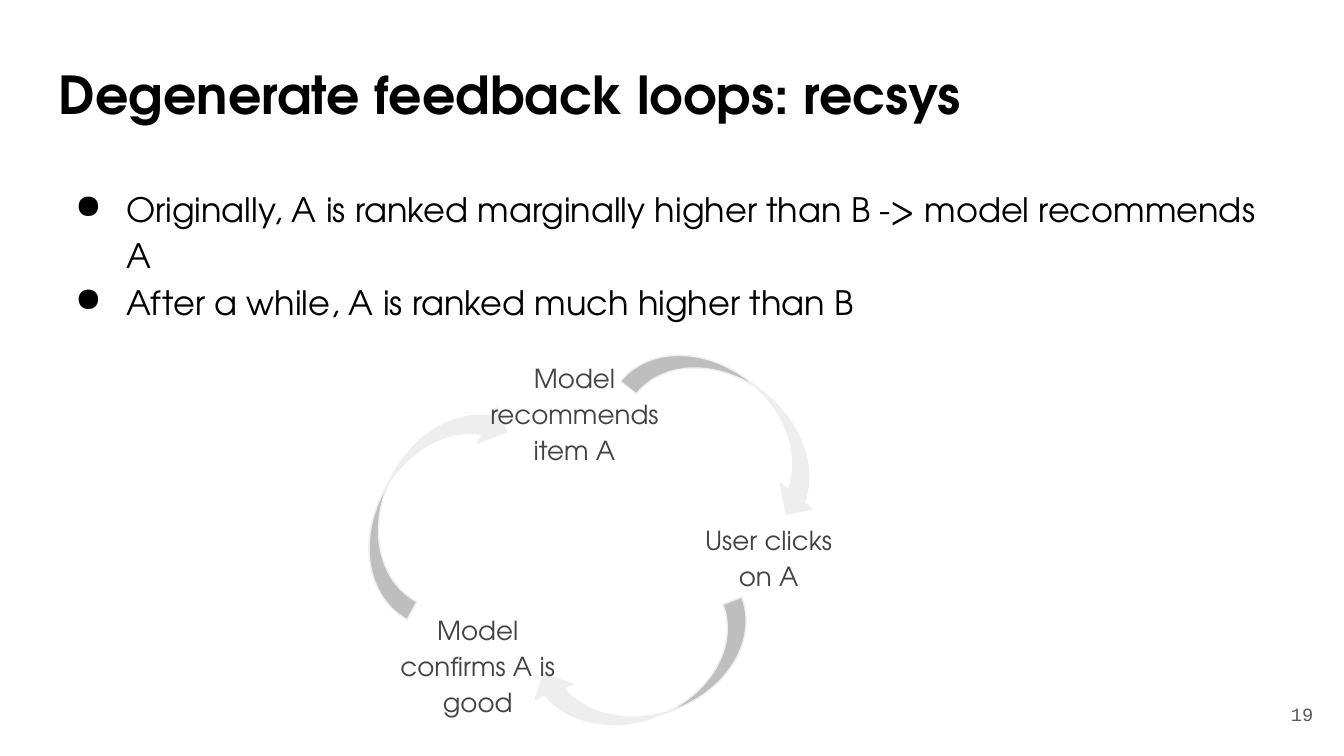
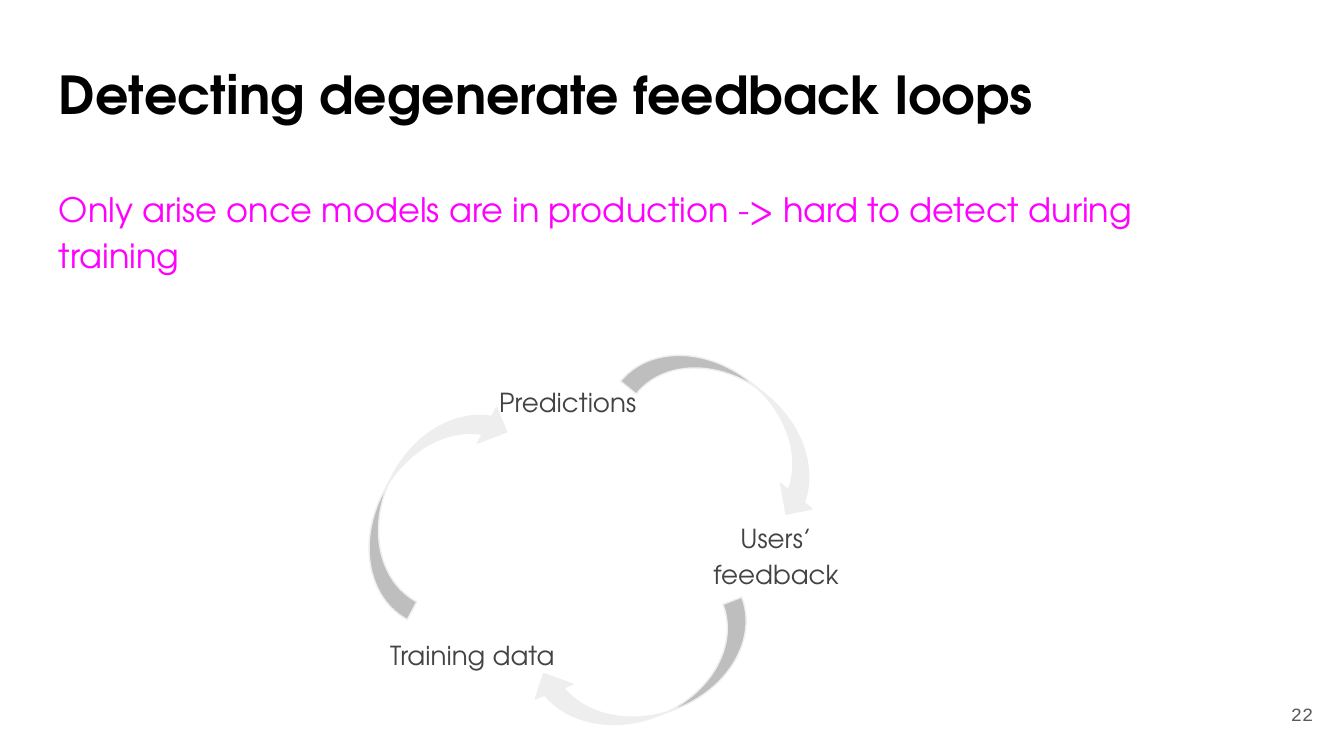
from typing import NamedTuple

from lxml import etree
from pptx import Presentation
from pptx.dml.color import RGBColor
from pptx.enum.shapes import MSO_SHAPE
from pptx.enum.text import MSO_ANCHOR, PP_ALIGN
from pptx.oxml.ns import qn
from pptx.slide import Slide
from pptx.util import Inches, Pt

BLACK = RGBColor(0x00, 0x00, 0x00)
DARK = RGBColor(0x43, 0x43, 0x43)
GRAY = RGBColor(0x59, 0x59, 0x59)
PALE = RGBColor(0xEE, 0xEE, 0xEE)
PINK = RGBColor(0xFF, 0x00, 0xFF)
SANS = "TeX Gyre Adventor"
MONO = "Courier New"
LEFT, MID, RIGHT = PP_ALIGN.LEFT, PP_ALIGN.CENTER, PP_ALIGN.RIGHT
TOP, MIDDLE = MSO_ANCHOR.TOP, MSO_ANCHOR.MIDDLE
CURVE = MSO_SHAPE.CURVED_LEFT_ARROW

WIDTH, HEIGHT = Inches(10), Inches(5.625)
CELL = WIDTH / 100
INSET = Inches(0.1)


class Box(NamedTuple):
    col: float
    row: float
    cols: float
    rows: float

    def place(self) -> list[int]:
        return [round(CELL * part) for part in self]


class Arrow(NamedTuple):
    col: float
    row: float
    turn: float


class Label(NamedTuple):
    text: str
    box: Box


class Page(NamedTuple):
    title: str
    lines: list[str]
    body: Box
    style: dict
    labels: list[Label]
    number: str


TITLE = Box(3.4, 3.6, 93.2, 5.3)
NUMBER = Box(92.7, 51, 6, 4.3)
ARROWS = [
    Arrow(51.8, 22.8, 308.8),
    Arrow(45.2, 41.7, 68.9),
    Arrow(28.7, 28.4, 207.9),
]
PAGES = [
    Page(
        "Degenerate feedback loops: recsys",
        [
            "Originally, A is ranked marginally higher than B -> model recommends A",
            "After a while, A is ranked much higher than B",
        ],
        Box(3.4, 12.6, 93.2, 13),
        dict(color=BLACK, bullet="●"),
        [
            Label("Model recommends item A", Box(35, 25.6, 15.5, 9)),
            Label("User clicks on A", Box(50.5, 37.7, 13.4, 6)),
            Label("Model confirms A is good", Box(27.8, 44.4, 15.5, 6)),
        ],
        "19",
    ),
    Page(
        "Detecting degenerate feedback loops",
        ["Only arise once models are in production -> hard to detect during training"],
        Box(3.4, 12.6, 86.5, 6),
        dict(color=PINK, after=16),
        [
            Label("Predictions", Box(34.5, 27.4, 15.5, 4.3)),
            Label("Users’ feedback", Box(50, 37.5, 15.5, 6)),
            Label("Training data", Box(27.4, 46.2, 15.5, 4.3)),
        ],
        "22",
    ),
]


def add_bullet(para, mark: str, color: RGBColor) -> None:
    props = para._p.get_or_add_pPr()
    props.set("marL", str(Inches(0.5)))
    props.set("indent", str(Inches(-0.38)))
    tint = etree.SubElement(props, qn("a:buClr"))
    etree.SubElement(tint, qn("a:srgbClr"), val=str(color))
    etree.SubElement(props, qn("a:buChar"), char=mark)


def add_text(
    slide: Slide,
    box: Box,
    lines: list[str],
    *,
    size: float,
    color: RGBColor = BLACK,
    face: str = SANS,
    bold: bool = False,
    align: PP_ALIGN = LEFT,
    anchor: MSO_ANCHOR = TOP,
    pitch: float = 1.0,
    after: float = 0,
    bullet: str = "",
) -> None:
    frame = slide.shapes.add_textbox(*box.place()).text_frame
    frame.word_wrap = True
    frame.vertical_anchor = anchor
    frame.margin_left = frame.margin_right = INSET
    frame.margin_top = frame.margin_bottom = INSET
    for spot, line in enumerate(lines):
        para = frame.add_paragraph() if spot else frame.paragraphs[0]
        para.alignment = align
        para.line_spacing = pitch
        para.space_after = Pt(after)
        if bullet:
            add_bullet(para, bullet, color)
        run = para.add_run()
        run.text = line
        run.font.name = face
        run.font.size = Pt(size)
        run.font.bold = bold
        run.font.color.rgb = color


def add_arrow(slide: Slide, arrow: Arrow) -> None:
    box = Box(arrow.col, arrow.row, 6, 17.3)
    shape = slide.shapes.add_shape(CURVE, *box.place())
    shape.rotation = arrow.turn
    shape.adjustments[2] = 0.254
    shape.shadow.inherit = False
    shape.fill.solid()
    shape.fill.fore_color.rgb = PALE
    shape.line.color.rgb = PALE
    shape.line.width = Pt(0.75)


def add_page(deck, page: Page) -> None:
    slide = deck.slides.add_slide(deck.slide_layouts[6])
    add_text(slide, TITLE, [page.title], size=28, bold=True)
    add_text(slide, page.body, page.lines, size=18, pitch=1.15, **page.style)
    add_text(slide, NUMBER, [page.number], size=10, color=GRAY, face=MONO,
             align=RIGHT, anchor=MIDDLE)
    for arrow in ARROWS:
        add_arrow(slide, arrow)
    for label in page.labels:
        add_text(slide, label.box, [label.text], size=14, color=DARK,
                 align=MID, pitch=1.15, after=16)


def main() -> None:
    deck = Presentation()
    deck.slide_width, deck.slide_height = WIDTH, HEIGHT
    for page in PAGES:
        add_page(deck, page)
    deck.save("out.pptx")


if __name__ == "__main__":
    main()
